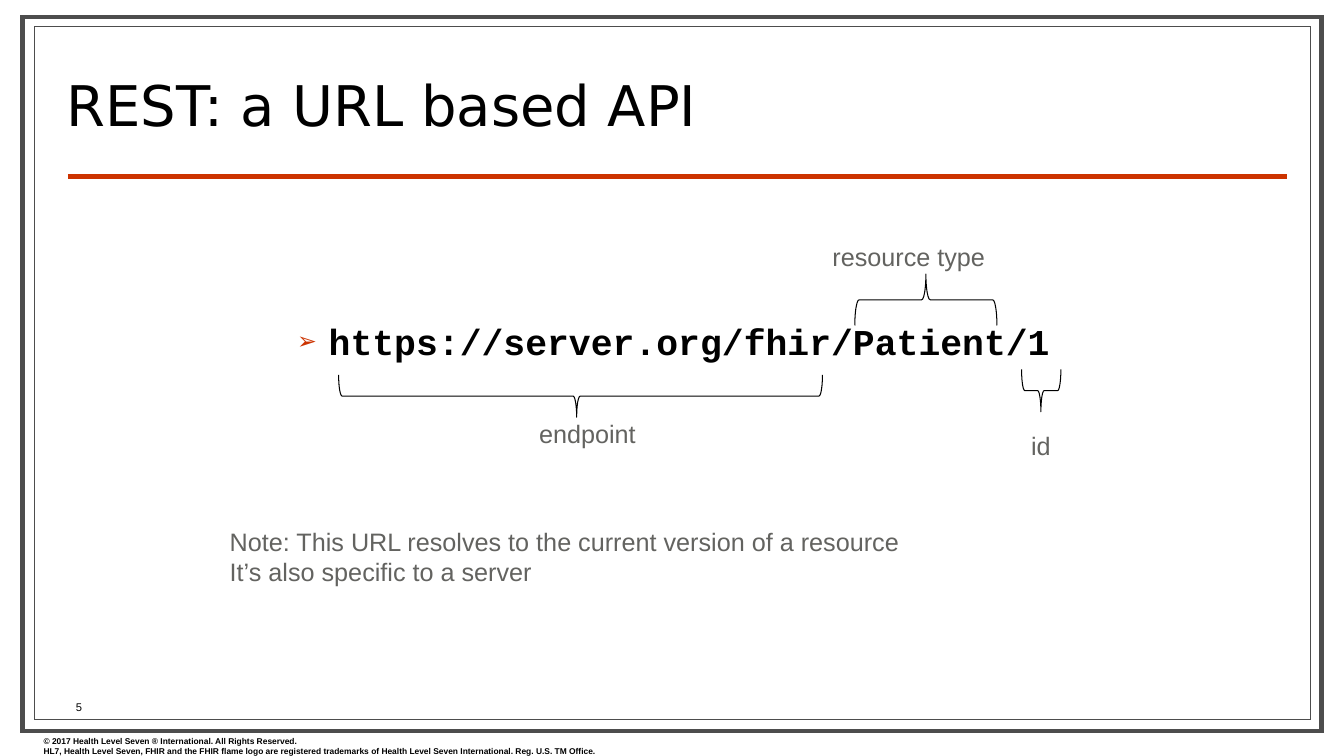
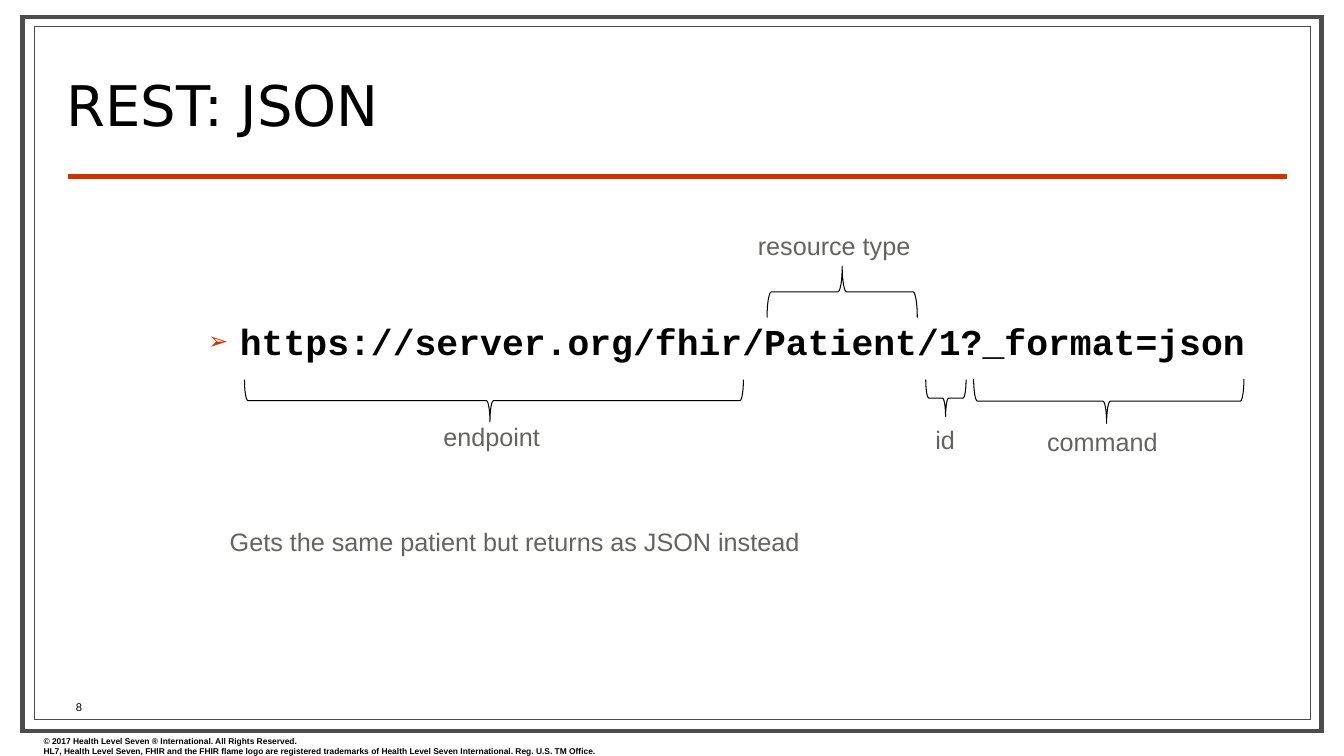
"""Build two slides that take REST URLs apart with labelled braces."""
from lxml.etree import SubElement
from pptx import Presentation
from pptx.dml.color import RGBColor
from pptx.enum.shapes import MSO_CONNECTOR as LINE, MSO_SHAPE as SHAPE
from pptx.enum.text import MSO_ANCHOR as ANCHOR, PP_ALIGN as ALIGN
from pptx.oxml.ns import qn
from pptx.util import Pt

BLACK = RGBColor(0x00, 0x00, 0x00)
WHITE = RGBColor(0xFF, 0xFF, 0xFF)
FRAME = RGBColor(0x4D, 0x4D, 0x4D)
GRAY = RGBColor(0x63, 0x63, 0x60)
RED = RGBColor(0xCC, 0x33, 0x00)
SANS, MONO, HEAD = "Arial", "Courier New", "DejaVu Sans"

FRAMES = [((16, 12.2, 928, 510), 3.5), ((24.5, 18.7, 911.5, 495.4), 0.75)]
LEGAL = [
    "© 2017 Health Level Seven ® International. All Rights Reserved.",
    "HL7, Health Level Seven, FHIR and the FHIR flame logo are registered "
    "trademarks of Health Level Seven International. Reg. U.S. TM Office.",
]
UP, DOWN = 90, 270

SLIDES = [
    {
        "title": "REST: a URL based API",
        "url": "https://server.org/fhir/Patient/1",
        "left": 169.2,
        "parts": [
            ("endpoint", (378, 295.2), (241.9, 267.8, 345.6, 30.2), DOWN),
            ("resource type", (587.5, 168.5), (610.6, 195.8, 101.5, 36.7), UP),
            ("id", (729.4, 303.8), (729.7, 263.9, 28.1, 30.2), DOWN),
        ],
        "note": [
            "Note: This URL resolves to the current version of a resource",
            "It’s also specific to a server",
        ],
        "page": "5",
    },
    {
        "title": "REST: JSON",
        "url": "https://server.org/fhir/Patient/1?_format=json",
        "left": 105.8,
        "parts": [
            ("endpoint", (309.6, 297.4), (174.6, 271.1, 356.4, 30.2), DOWN),
            ("resource type", (534.2, 161.3), (547.9, 190.1, 107.3, 36.7), UP),
            ("id", (661, 299.5), (661.3, 271.1, 28.8, 26.6), DOWN),
            ("command", (740.9, 301), (695.5, 270.7, 193, 31.7), DOWN),
        ],
        "note": ["Gets the same patient but returns as JSON instead"],
        "page": "8",
    },
]


def write(slide, box, lines, size, color=BLACK, face=SANS, bold=False):
    frame = slide.shapes.add_textbox(*map(Pt, box)).text_frame
    frame.word_wrap = True
    for i, line in enumerate(lines):
        para = frame.add_paragraph() if i else frame.paragraphs[0]
        run = para.add_run()
        run.text = line
        run.font.size = Pt(size)
        run.font.name = face
        run.font.bold = bold
        run.font.color.rgb = color
    return frame


def brace(slide, x, y, span, depth, turn):
    left, top = x + (span - depth) / 2, y + (depth - span) / 2
    shape = slide.shapes.add_shape(
        SHAPE.LEFT_BRACE, Pt(left), Pt(top), Pt(depth), Pt(span))
    shape.rotation = turn
    shape.adjustments[0] = 0.083
    shape.adjustments[1] = 0.5 if turn == UP else 0.492
    shape.shadow.inherit = False
    shape.fill.background()
    shape.line.color.rgb = BLACK
    shape.line.width = Pt(0.75)


deck = Presentation()
deck.slide_width, deck.slide_height = Pt(960), Pt(540)

for data in SLIDES:
    slide = deck.slides.add_slide(deck.slide_layouts[6])

    for box, width in FRAMES:
        rect = slide.shapes.add_shape(SHAPE.RECTANGLE, *map(Pt, box))
        rect.shadow.inherit = False
        rect.fill.solid()
        rect.fill.fore_color.rgb = WHITE
        rect.line.color.rgb = FRAME
        rect.line.width = Pt(width)
        edge = rect._element.spPr.find(qn("a:ln"))
        SubElement(edge, qn("a:miter"), lim="800000")

    rule = slide.shapes.add_connector(
        LINE.STRAIGHT, Pt(48.5), Pt(126), Pt(919.5), Pt(126))
    rule.line.color.rgb = RED
    rule.line.width = Pt(3)
    SubElement(rule._element.spPr, qn("a:effectLst"))

    write(slide, (24, 522, 464, 21.6), LEGAL, 6, bold=True)

    title = write(slide, (40.3, 36.7, 734.4, 64.8), [data["title"]], 40, face=HEAD)
    title.vertical_anchor = ANCHOR.BOTTOM
    title.paragraphs[0].line_spacing = 0.8

    box = (data["left"], 224.5, 930 - data["left"], 37)
    url = write(slide, box, [data["url"]], 26, face=MONO, bold=True)
    props = url.paragraphs[0]._p.get_or_add_pPr()
    props.set("marL", str(Pt(58.5)))
    props.set("indent", str(Pt(-22.5)))
    tint = SubElement(props, qn("a:buClr"))
    SubElement(tint, qn("a:srgbClr"), val=str(RED))
    SubElement(props, qn("a:buSzPct"), val="65000")
    SubElement(props, qn("a:buFont"), typeface=SANS)
    SubElement(props, qn("a:buChar"), char="➢")

    for label, spot, span, turn in data["parts"]:
        brace(slide, *span, turn)
        write(slide, (*spot, 20 + 12 * len(label), 29), [label], 18, GRAY)

    write(slide, (157, 372.2, 500, 29), data["note"], 18, GRAY)

    page = write(slide, (18.7, 496.5, 75.6, 17.3), [data["page"]], 8)
    page.vertical_anchor = ANCHOR.MIDDLE
    page.paragraphs[0].alignment = ALIGN.CENTER

deck.save("out.pptx")
